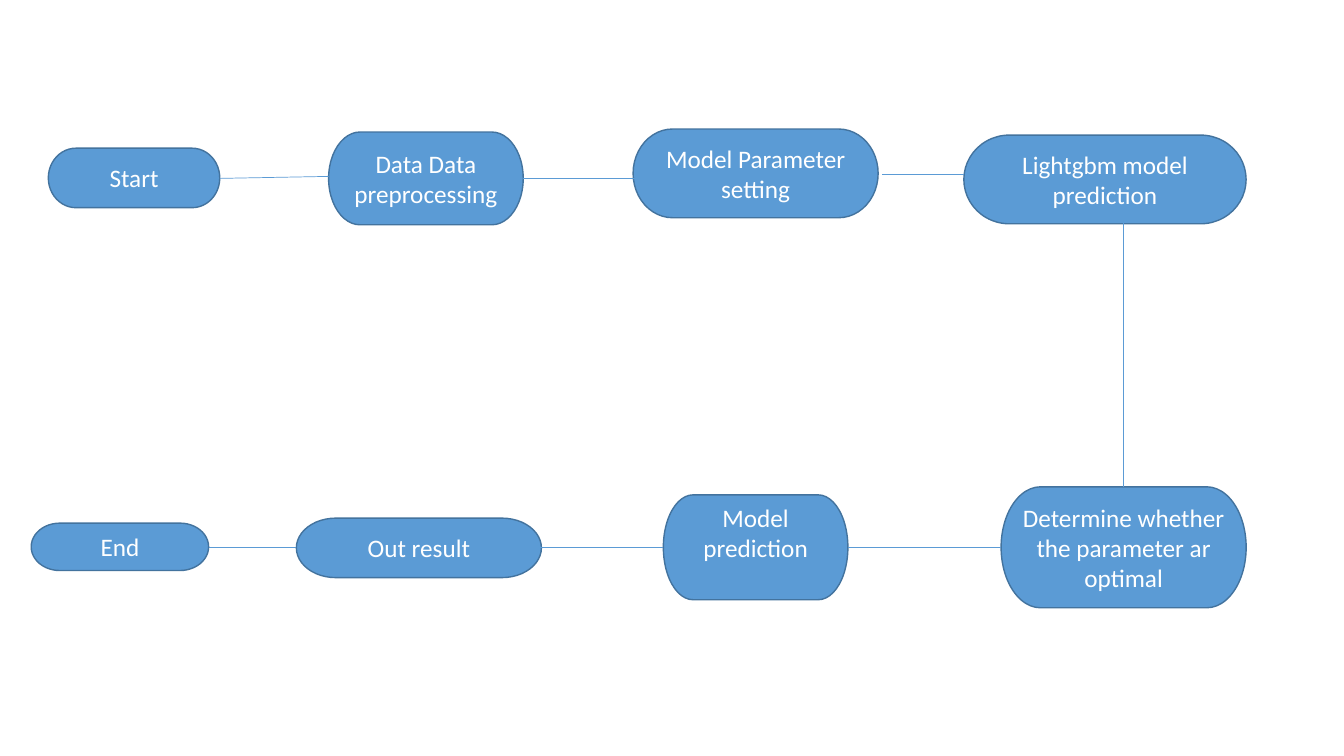
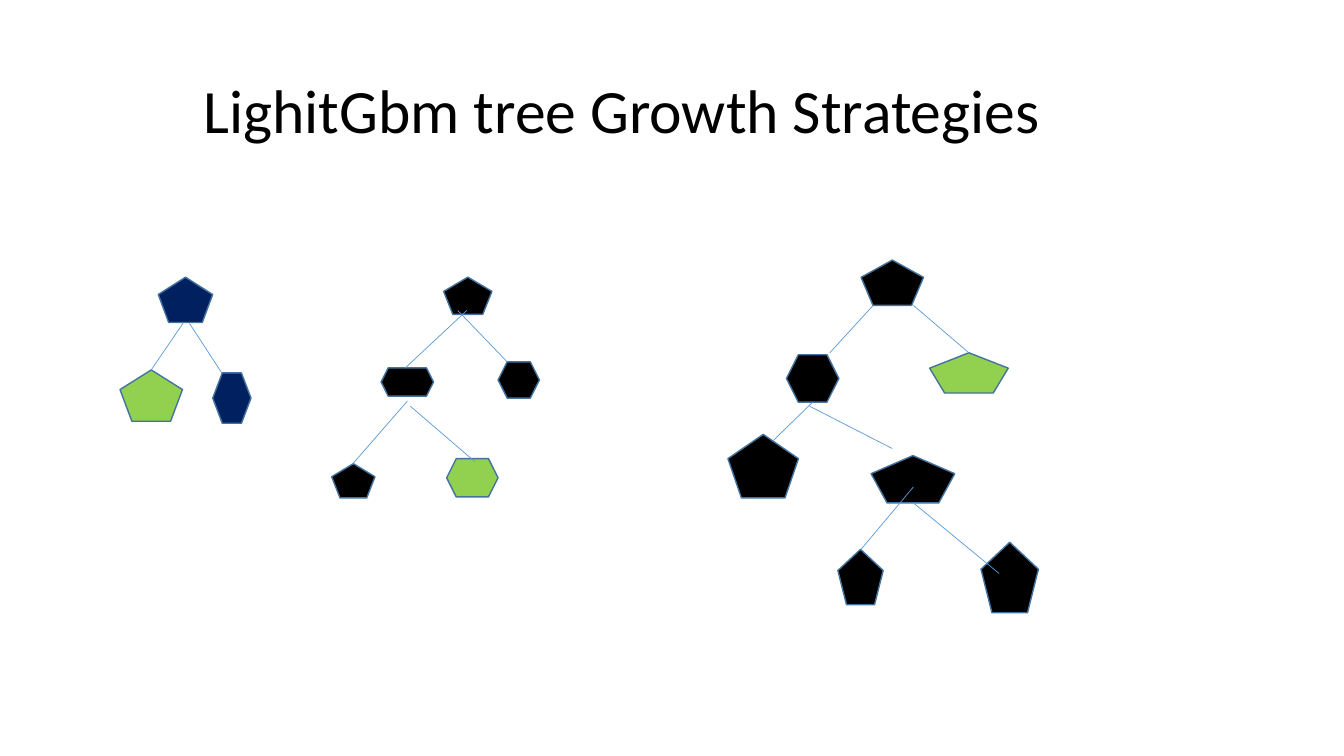
"""Build two slides: a model prediction flowchart and the growth of three decision trees."""
import pptx
import pptx.dml.color
import pptx.enum.shapes
import pptx.enum.text
import pptx.oxml
import pptx.util

PX = 9144
FONT = "Calibri"
BLUE, EDGE, NAVY = "5B9BD5", "43739E", "002060"
GREEN, BLACK, WHITE = "92D050", "000000", "FFFFFF"
SHAPES = pptx.enum.shapes.MSO_SHAPE
PENTAGON, HEXAGON = SHAPES.REGULAR_PENTAGON, SHAPES.HEXAGON


def paint(color_format, color):
    """Set a fill, line or font colour from a hex string."""
    color_format.rgb = pptx.dml.color.RGBColor.from_string(color)


def write(frame, text, size, color, align):
    """Write one middle-anchored paragraph and return it."""
    frame.word_wrap = True
    frame.vertical_anchor = pptx.enum.text.MSO_ANCHOR.MIDDLE
    para = frame.paragraphs[0]
    para.alignment = align
    span = para.add_run()
    span.text = text
    span.font.name = FONT
    span.font.size = pptx.util.Pt(size)
    paint(span.font.color, color)
    return para


deck = pptx.Presentation()
deck.slide_width = 1333 * PX
deck.slide_height = 750 * PX
flow_page = deck.slides.add_slide(deck.slide_layouts[6])
tree_page = deck.slides.add_slide(deck.slide_layouts[6])

title = tree_page.shapes.add_textbox(192 * PX, 40 * PX, 1050 * PX, 145 * PX)
title_para = write(title.text_frame, "LighitGbm tree Growth Strategies", 44, BLACK,
                   pptx.enum.text.PP_ALIGN.LEFT)
title_para.line_spacing = 0.9

steps = [
    ("Start", 48, 147, 170, 59),
    ("Data Data preprocessing", 326, 131, 193, 92),
    ("Model Parameter setting", 628, 128, 243, 88),
    ("Lightgbm model prediction", 956, 134, 280, 88),
    ("Determine whether the parameter ar optimal", 993, 483, 243, 120),
    ("Model prediction", 658, 491, 183, 104),
    ("Out result", 294, 514, 243, 59),
    ("End", 31, 519, 176, 47),
]
nodes = [
    (PENTAGON, NAVY, 157, 275, 54, 45),
    (PENTAGON, GREEN, 119, 367, 62, 51),
    (HEXAGON, NAVY, 211, 370, 38, 50),
    (PENTAGON, BLACK, 440, 275, 48, 37),
    (HEXAGON, BLACK, 378, 365, 52, 28),
    (HEXAGON, BLACK, 494, 359, 41, 36),
    (PENTAGON, BLACK, 329, 460, 43, 34),
    (HEXAGON, GREEN, 443, 455, 51, 38),
    (PENTAGON, BLACK, 854, 258, 62, 45),
    (HEXAGON, BLACK, 780, 352, 52, 47),
    (PENTAGON, GREEN, 922, 350, 78, 40),
    (PENTAGON, BLACK, 722, 431, 70, 63),
    (PENTAGON, BLACK, 864, 452, 83, 47),
    (PENTAGON, BLACK, 831, 545, 45, 55),
    (PENTAGON, BLACK, 973, 538, 57, 70),
]
flow_links = [
    (218, 177, 326, 175), (519, 177, 631, 177), (875, 173, 956, 173),
    (1114, 216, 1114, 483), (993, 543, 841, 543), (525, 543, 658, 543),
    (207, 543, 294, 543),
]
branches = [
    (182, 320, 150, 367), (188, 321, 220, 370),
    (463, 308, 402, 365), (454, 308, 503, 359),
    (407, 403, 471, 458), (404, 398, 350, 460),
    (823, 350, 866, 303), (906, 303, 961, 350),
    (806, 399, 767, 437), (803, 403, 885, 445),
    (906, 483, 854, 545), (906, 499, 991, 569),
]

blocks = [(flow_page, SHAPES.FLOWCHART_TERMINATOR, BLUE, place, text)
          for text, *place in steps]
blocks += [(tree_page, kind, fill, place, "") for kind, fill, *place in nodes]
for page, kind, fill, place, text in blocks:
    box = page.shapes.add_shape(kind, *[length * PX for length in place])
    box.shadow.inherit = False
    box.fill.solid()
    paint(box.fill.fore_color, fill)
    paint(box.line.color, EDGE)
    box.line.width = pptx.util.Pt(1)
    if text:
        write(box.text_frame, text, 18, WHITE, pptx.enum.text.PP_ALIGN.CENTER)
    if text == "Model prediction":
        box.text_frame.margin_bottom = 35 * PX

for page, links in ((flow_page, flow_links), (tree_page, branches)):
    for ends in links:
        link = page.shapes.add_connector(pptx.enum.shapes.MSO_CONNECTOR.STRAIGHT,
                                         *[length * PX for length in ends])
        paint(link.line.color, BLUE)
        link.line.width = pptx.util.Pt(0.5)
        link.element.spPr.append(pptx.oxml.parse_xml(
            '<a:effectLst xmlns:a="http://schemas.openxmlformats.org/drawingml/2006/main"/>'))

deck.save("out.pptx")
